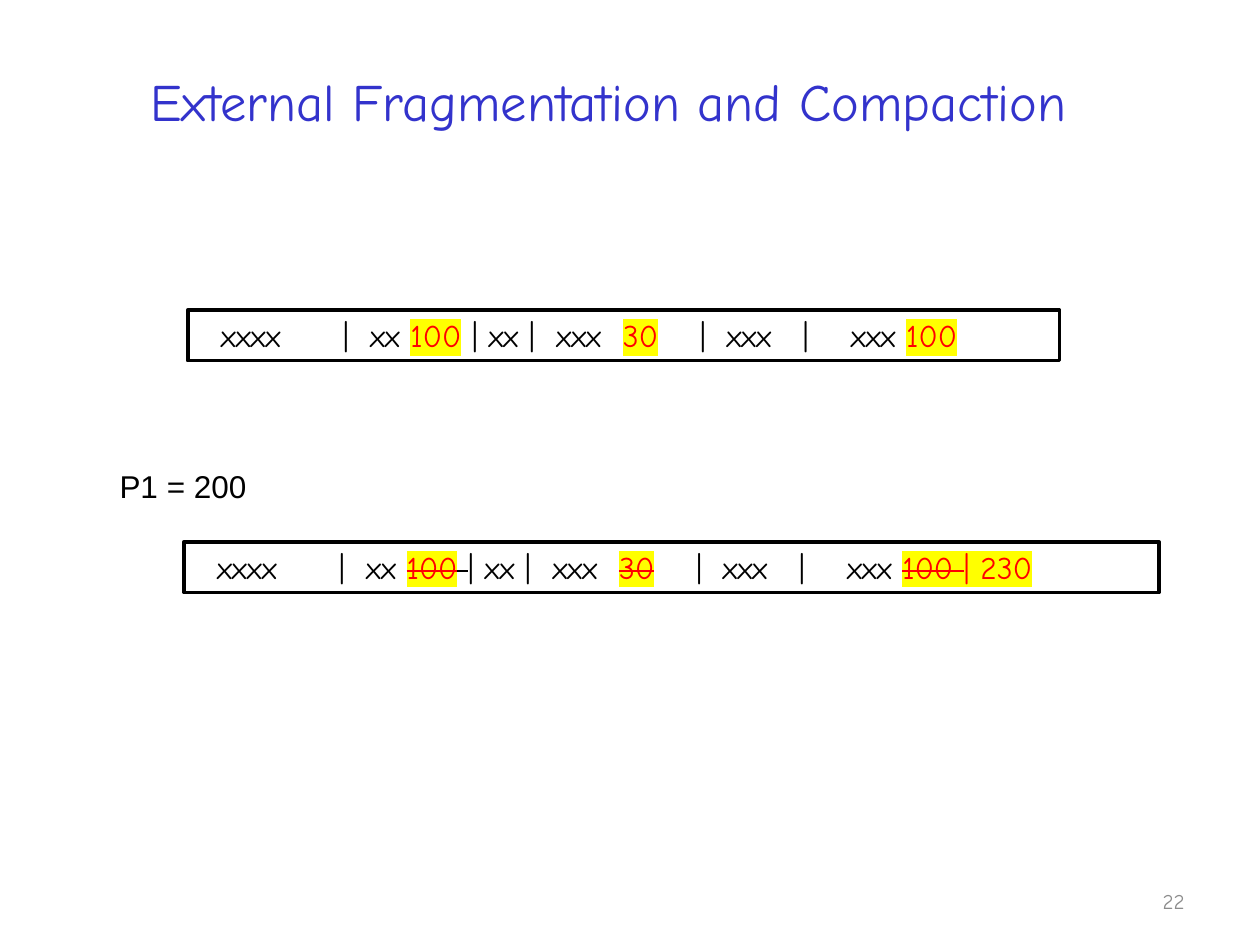
from lxml import etree
from pptx import Presentation
from pptx.dml.color import RGBColor
from pptx.enum import shapes, text
from pptx.oxml.ns import qn
from pptx.util import Pt

HAND = "Comic Neue"
BLACK, RED, YELLOW = "000000", "FF0000", "FFFF00"
TAB_STOPS = (69.6, 85.2, 191.7, 229.7, 273.7, 288.9, 332.4, 360)


def rgb(value):
    """Return the colour for a hex string."""
    return RGBColor.from_string(value)


def add_run(p, content, size=18, font=HAND, color=BLACK, highlight=None, strike=False):
    """Add one formatted run to a paragraph."""
    r = p.add_run()
    r.text = content
    r.font.size = Pt(size)
    r.font.color.rgb = rgb(color)
    rPr = r._r.get_or_add_rPr()
    if strike:
        rPr.set("strike", "sngStrike")
    if highlight:
        mark = etree.SubElement(rPr, qn("a:highlight"))
        etree.SubElement(mark, qn("a:srgbClr")).set("val", highlight)
    r.font.name = font


def add_label(s, box, content, align=text.PP_ALIGN.LEFT,
              anchor=text.MSO_ANCHOR.TOP, wrap=True, **style):
    """Add a text box holding one run."""
    tf = s.shapes.add_textbox(*map(Pt, box)).text_frame
    tf.word_wrap = wrap
    tf.vertical_anchor = anchor
    p = tf.paragraphs[0]
    p.alignment = align
    add_run(p, content, **style)


def add_tab_stops(p, stops):
    """Give a paragraph left-aligned tab stops."""
    tabs = etree.SubElement(p._p.get_or_add_pPr(), qn("a:tabLst"))
    for stop in stops:
        tab = etree.SubElement(tabs, qn("a:tab"))
        tab.set("pos", str(int(Pt(stop))))
        tab.set("algn", "l")


def add_memory_bar(s, box, segments):
    """Add a memory strip whose segments are (text, is_hole, is_struck)."""
    sp = s.shapes.add_shape(shapes.MSO_SHAPE.RECTANGLE, *map(Pt, box))
    sp.shadow.inherit = False
    sp.fill.solid()
    sp.fill.fore_color.rgb = rgb("FFFFFF")
    sp.line.color.rgb = rgb(BLACK)
    sp.line.width = Pt(2)
    tf = sp.text_frame
    tf.word_wrap = True
    tf.auto_size = text.MSO_AUTO_SIZE.SHAPE_TO_FIT_TEXT
    tf.vertical_anchor = text.MSO_ANCHOR.TOP
    tf.margin_left = Pt(19)
    p = tf.paragraphs[0]
    p.alignment = text.PP_ALIGN.LEFT
    add_tab_stops(p, TAB_STOPS)
    for content, hole, struck in segments:
        add_run(p, content, color=RED if hole else BLACK,
                highlight=YELLOW if hole else None, strike=struck)


def main():
    """Build the slide and save it."""
    prs = Presentation()
    prs.slide_width, prs.slide_height = Pt(720), Pt(540)
    s = prs.slides.add_slide(prs.slide_layouts[6])
    middle = text.MSO_ANCHOR.MIDDLE
    add_label(s, (41.8, 18, 612, 78.5), "External Fragmentation and Compaction",
              text.PP_ALIGN.CENTER, middle, size=30, color="3333CC")
    add_label(s, (516.2, 500.4, 167.8, 28.8), "22",
              text.PP_ALIGN.RIGHT, middle, size=12, color="8C8C8C")
    start, end = "xxxx\t|\txx ", "|\txxx\t|\txxx "
    add_memory_bar(s, (107.3, 177.1, 498.2, 29), [
        (start, False, False), ("100", True, False),
        (" | xx |\txxx\t", False, False), ("30\t", True, False),
        (end, False, False), ("100", True, False)])
    add_label(s, (61.2, 263.5, 87.8, 29), "P1 = 200", wrap=False, font="Arial")
    add_memory_bar(s, (105.1, 309.6, 557.3, 29), [
        (start, False, False), ("100", True, True), (" ", False, True),
        ("| xx |\txxx\t", False, False), ("30\t", True, True),
        (end, False, False), ("100 ", True, True), ("| 230", True, False)])
    prs.save("out.pptx")


if __name__ == "__main__":
    main()
